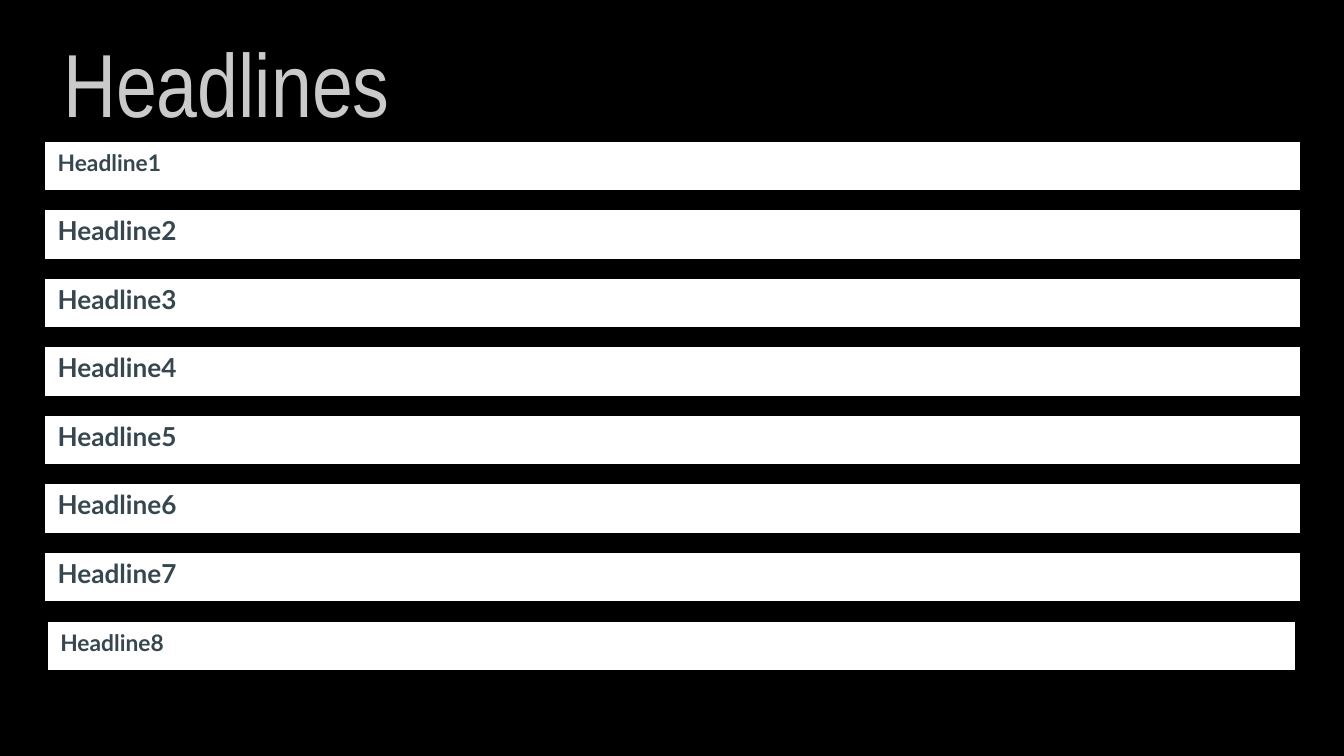
from pptx import Presentation
from pptx.dml.color import RGBColor
from pptx.enum.shapes import MSO_SHAPE as Shape
from pptx.enum.text import MSO_ANCHOR as Anchor, MSO_AUTO_SIZE as AutoSize, PP_ALIGN as Align
from pptx.util import Inches, Pt

COLORS = {"background": "000000", "title": "CACACA", "bar": "FFFFFF",
          "outline": "000000", "text": "37474F"}
REGULAR = {"left": 0.33, "width": 9.35, "size": 14, "spacing": 0.7}
FORMATS = {
    1: {**REGULAR, "size": 12.2, "spacing": 0.8},
    8: {"left": 0.35, "width": 9.29, "size": 12.2, "spacing": 0.8},
}
COUNT, TOP, STEP, HEIGHT = 8, 1.05, 0.51, 0.37


def color(name):
    return RGBColor.from_string(COLORS[name])


def write_text(shape, text, anchor, font_format, spacing=1.0):
    frame = shape.text_frame
    frame.text = text
    frame.auto_size = AutoSize.NONE
    frame.word_wrap = True
    frame.vertical_anchor = anchor
    for side in ("left", "top", "right", "bottom"):
        setattr(frame, f"margin_{side}", Inches(0.1))
    para = frame.paragraphs[0]
    para.alignment = Align.LEFT
    para.line_spacing = spacing
    font = para.runs[0].font
    font.color.rgb = color(font_format["color"])
    for name in ("name", "size", "bold"):
        setattr(font, name, font_format[name])


def add_title(page, text):
    title = page.shapes.title
    title.left, title.top = Inches(0.37), Inches(0.07)
    title.width, title.height = Inches(6.81), Inches(1.08)
    write_text(title, text, Anchor.MIDDLE,
               {"name": "Arial Narrow", "size": Pt(48), "bold": False, "color": "title"})


def add_headline(page, number):
    style = FORMATS.get(number, REGULAR)
    top = TOP + (number - 1) * STEP
    bar = page.shapes.add_shape(Shape.RECTANGLE, Inches(style["left"]), Inches(top),
                                Inches(style["width"]), Inches(HEIGHT))
    bar.shadow.inherit = False
    bar.fill.solid()
    bar.fill.fore_color.rgb = color("bar")
    bar.line.color.rgb = color("outline")
    bar.line.width = Pt(0.75)
    write_text(bar, f"Headline{number}", Anchor.TOP,
               {"name": "Lato", "size": Pt(style["size"]), "bold": True, "color": "text"},
               style["spacing"])


def main():
    deck = Presentation()
    deck.slide_width = Inches(10)
    deck.slide_height = deck.slide_width * 9 // 16
    page = deck.slides.add_slide(deck.slide_layouts.get_by_name("Title Only"))
    page.background.fill.solid()
    page.background.fill.fore_color.rgb = color("background")
    add_title(page, "Headlines")
    for number in range(1, COUNT + 1):
        add_headline(page, number)
    deck.save("out.pptx")


if __name__ == "__main__":
    main()
